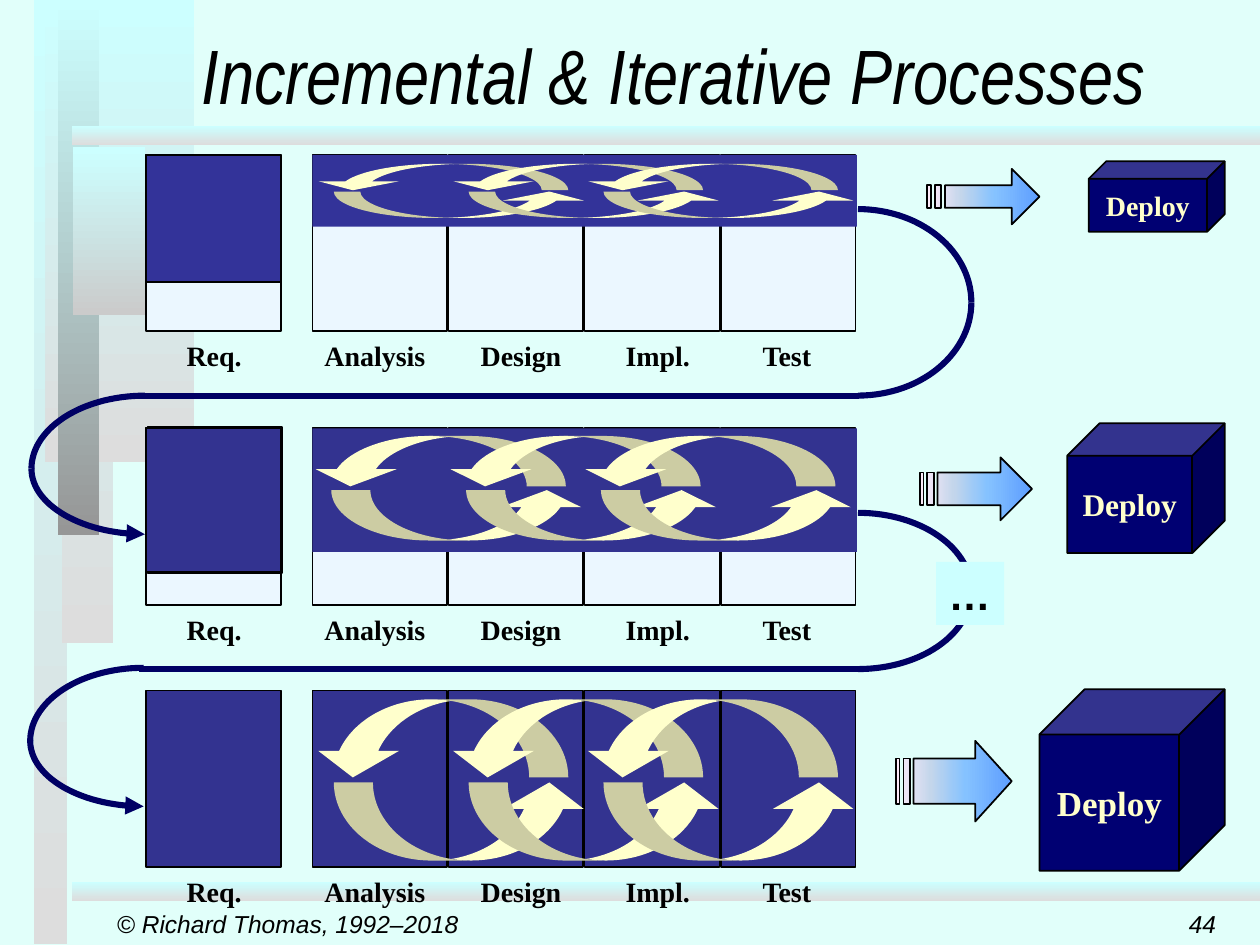
from math import cos, radians, sin

from pptx import Presentation
from pptx.dml.color import RGBColor
from pptx.enum.shapes import MSO_CONNECTOR, MSO_SHAPE
from pptx.enum.text import MSO_ANCHOR, PP_ALIGN
from pptx.oxml.ns import qn
from pptx.util import Inches, Pt
from lxml.etree import SubElement

COLORS = {
    "background": "E1FFFA", "ink": "000000", "empty": "EBF7FF", "done": "333399",
    "done_later": "333390", "flow": "000064", "swirl": "FFFFCC", "cube": "000072",
    "pale": "CCFFFF", "gray": "DDDDDD", "mid_gray": "CBCBCB", "dark_gray": "969696",
}
DEPLOY_STOPS = [(0, "FFEBFA"), (30, "C4D6EB"), (60, "85C2FF"), (100, "5E9EFF")]
TITLE = "Incremental & Iterative Processes"
FOOTERS = [("© Richard Thomas, 1992–2018", 0.83, 3.2, PP_ALIGN.LEFT),
           ("44", 7.67, 2.08, PP_ALIGN.RIGHT)]
BACKDROP = [
    ((0.27, 0, 0.26, 7.49), "gray"),
    ((0.49, 0, 0.41, 5.1), "gray"),
    ((0.36, 0, 1.18, 3.67), "gray"),
    ((0.46, 0, 0.33, 4.25), "dark_gray"),
    ((0.58, 1.17, 0.57, 1.33), "mid_gray"),
    ((0.57, 1, 9.43, 0.15), "gray"),
    ((0.57, 7, 9.43, 0.15), "gray"),
]
PHASES = [("Req.", 1.37, 0.66), ("Analysis", 2.47, 1.01), ("Design", 3.71, 0.85),
          ("Impl.", 4.86, 0.72), ("Test", 5.95, 0.59)]
CELL_LEFTS = [1.16] + [2.48 + 1.08 * column for column in range(4)]
CELL_WIDTH, CELL_HEIGHT = 1.07, 1.4
ITERATIONS = [
    {"top": 1.23, "cells": "empty",
     "progress": [((1.16, 1.23, 1.07, 1.01), "done", True), ((2.48, 1.23, 4.32, 0.57), "done", False)],
     "swirl": (2.48, 1.3, 1.52, 0.21), "cube": (8.64, 1.28, 1.08, 0.56), "size": 16,
     "arrow": (7.36, 1.34, 0.89, 0.44), "shaft": (0.14, 0.67, 0.13)},
    {"top": 3.4, "cells": "empty",
     "progress": [((1.17, 3.39, 1.07, 1.16), "done", True), ((1.16, 3.4, 1.07, 1.14), "done_later", True),
                  ((2.48, 3.4, 4.32, 0.98), "done_later", False)],
     "swirl": (2.46, 3.46, 3.89, 0.4), "cube": (8.47, 3.36, 1.25, 1.03), "size": 18,
     "arrow": (7.3, 3.63, 0.89, 0.5), "shaft": (0.14, 0.64, 0.12)},
    {"top": 5.48, "cells": "done_later", "progress": [],
     "swirl": (2.48, 5.55, 6.21, 0.62), "cube": (8.25, 5.47, 1.47, 1.44), "size": 20,
     "arrow": (7.11, 5.88, 0.92, 0.64), "shaft": (0.14, 0.63, 0.14)},
]
STRIPES = [(0.06, 0.11), (0, 0.03)]
FLOWS = [
    {"right": (6.81, 2.4, 0.74, 0.74), "line": (3.14, 1.12), "left": (1.15, 3.72, 0.58, 0.52)},
    {"right": (6.81, 4.69, 0.62, 0.62), "line": (5.31, 1.1), "left": (1.14, 5.88, 0.58, 0.52)},
]
FLOW_RADIUS = 0.9


def rgb(name):
    """Return a palette colour, or the given hex value."""
    return RGBColor.from_string(COLORS.get(name, name))


def paint_gradient(shape, stops, angle):
    """Fill a shape with a linear gradient."""
    shape.fill.gradient()
    shape.fill.gradient_angle = angle
    stop_list = shape._element.spPr.find(".//" + qn("a:gsLst"))
    for stop in list(stop_list):
        stop_list.remove(stop)
    for position, color in stops:
        stop = SubElement(stop_list, qn("a:gs"), pos=str(position * 1000))
        SubElement(stop, qn("a:srgbClr"), val=COLORS.get(color, color))


def outline(shape, color=None, width=1):
    """Set the line of a shape and drop its shadow."""
    shape.shadow.inherit = False
    if color:
        shape.line.color.rgb = rgb(color)
        shape.line.width = Pt(width)
    else:
        shape.line.fill.background()


def add_block(slide, box, fill=None, line=None, kind=MSO_SHAPE.RECTANGLE):
    """Add a preset shape."""
    block = slide.shapes.add_shape(kind, *map(Inches, box))
    outline(block, line)
    if fill:
        block.fill.solid()
        block.fill.fore_color.rgb = rgb(fill)
    return block


def write(holder, words, color="ink", align=PP_ALIGN.CENTER, anchor=MSO_ANCHOR.TOP, wrap=False, **font_format):
    """Write one formatted paragraph."""
    frame = holder.text_frame
    frame.text = words
    frame.word_wrap = wrap
    frame.vertical_anchor = anchor
    paragraph = frame.paragraphs[0]
    paragraph.alignment = align
    for name, value in font_format.items():
        setattr(paragraph.font, name, value)
    paragraph.font.color.rgb = rgb(color)


def add_curve(slide, center, radii, angles, arrow=False):
    """Draw a quarter of an ellipse as an open line."""
    start, end = angles
    points = [(Inches(center[0] + radii[0] * cos(radians(angle))),
               Inches(center[1] + radii[1] * sin(radians(angle))))
              for angle in (start + (end - start) * step / 30 for step in range(31))]
    builder = slide.shapes.build_freeform(*points[0])
    builder.add_line_segments(points[1:], close=False)
    curve = builder.convert_to_shape()
    curve.fill.background()
    outline(curve, "flow", 3.5)
    if arrow:
        SubElement(curve.line._get_or_add_ln(), qn("a:tailEnd"), type="triangle")


def add_flow(slide, flow):
    """Draw the path from one iteration to the next."""
    level, end = flow["line"]
    link = slide.shapes.add_connector(MSO_CONNECTOR.STRAIGHT, *map(Inches, (6.82, level, end, level)))
    link.line.color.rgb = rgb("flow")
    link.line.width = Pt(3.5)
    SubElement(link._element.spPr, qn("a:effectLst"))
    for side, quarters in [("right", [(-90, 0), (0, 90)]), ("left", [(270, 180), (180, 90)])]:
        x, middle, *heights = flow[side]
        for height, angles in zip(heights, quarters):
            add_curve(slide, (x, middle), (FLOW_RADIUS, height), angles, arrow=angles == (180, 90))


def add_deploy_arrow(slide, box, shaft):
    """Draw a striped arrow with a gradient."""
    left, top, width, height = box
    tail, neck, inset = shaft
    low, high = inset, height - inset
    head = [(neck, 0), (neck, low), (tail, low), (tail, high), (neck, high),
            (neck, height), (width, height / 2)]
    bars = [[(start, low), (start, high), (end, high), (end, low)] for start, end in STRIPES]
    contours = [[(Inches(left + x), Inches(top + y)) for x, y in part] for part in [head] + bars]
    builder = slide.shapes.build_freeform(*contours[0][0])
    builder.add_line_segments(contours[0][1:], close=True)
    for contour in contours[1:]:
        builder.move_to(*contour[0])
        builder.add_line_segments(contour[1:], close=True)
    arrow = builder.convert_to_shape()
    paint_gradient(arrow, DEPLOY_STOPS, 0)
    outline(arrow, "ink")


def add_swirls(slide, left, upper, lower, height):
    """Draw three pairs of curved arrows."""
    for pair in range(3):
        for shift, top, rotation in [(0, upper, 180), (0.17, lower, 0)]:
            swirl = add_block(slide, (left + shift + 1.07 * pair, top, 2.03, height),
                              "swirl", kind=MSO_SHAPE.CURVED_UP_ARROW)
            swirl.rotation = rotation
            for index, value in enumerate((0.31 / height, 0.64 / height, 0.34)):
                swirl.adjustments[index] = value


def main():
    """Build the slide."""
    deck = Presentation()
    deck.slide_width, deck.slide_height = Inches(10), Inches(7.5)
    slide = deck.slides.add_slide(deck.slide_layouts[5])
    slide.background.fill.solid()
    slide.background.fill.fore_color.rgb = rgb("background")
    for box, shade in BACKDROP:
        paint_gradient(add_block(slide, box), [(0, "pale"), (100, shade)], 270)
    title = slide.shapes.title
    title.left, title.top, title.width, title.height = map(Inches, (1.5, 0, 8.5, 1))
    write(title, TITLE, align=PP_ALIGN.LEFT, anchor=MSO_ANCHOR.BOTTOM, wrap=True,
          size=Pt(44), name="Arial Narrow", italic=True, bold=False)
    label_format = {"name": "Times New Roman", "bold": True}
    for iteration in ITERATIONS:
        top = iteration["top"]
        for cell_left, (phase, label_left, label_width) in zip(CELL_LEFTS, PHASES):
            add_block(slide, (cell_left, top, CELL_WIDTH, CELL_HEIGHT), iteration["cells"], "ink")
            label = slide.shapes.add_textbox(*map(Inches, (label_left, top + 1.41, label_width, 0.37)))
            write(label, phase, size=Pt(16), **label_format)
        for box, fill, lined in iteration["progress"]:
            add_block(slide, box, fill, "ink" if lined else None)
    for flow in FLOWS:
        add_flow(slide, flow)
    for iteration in ITERATIONS:
        add_swirls(slide, *iteration["swirl"])
        deploy = add_block(slide, iteration["cube"], "cube", "ink", MSO_SHAPE.CUBE)
        write(deploy, "Deploy", "swirl", anchor=MSO_ANCHOR.MIDDLE, size=Pt(iteration["size"]), **label_format)
        add_deploy_arrow(slide, iteration["arrow"], iteration["shaft"])
    ellipsis = add_block(slide, (7.43, 4.46, 0.54, 0.5), "pale")
    write(ellipsis, "…", align=PP_ALIGN.LEFT, size=Pt(24), name="Arial", bold=True)
    for words, left, width, align in FOOTERS:
        footer = slide.shapes.add_textbox(*map(Inches, (left, 7.17, width, 0.33)))
        write(footer, words, align=align, anchor=MSO_ANCHOR.MIDDLE, wrap=True,
              size=Pt(14), name="Arial", italic=True)
    deck.save("out.pptx")


if __name__ == "__main__":
    main()
